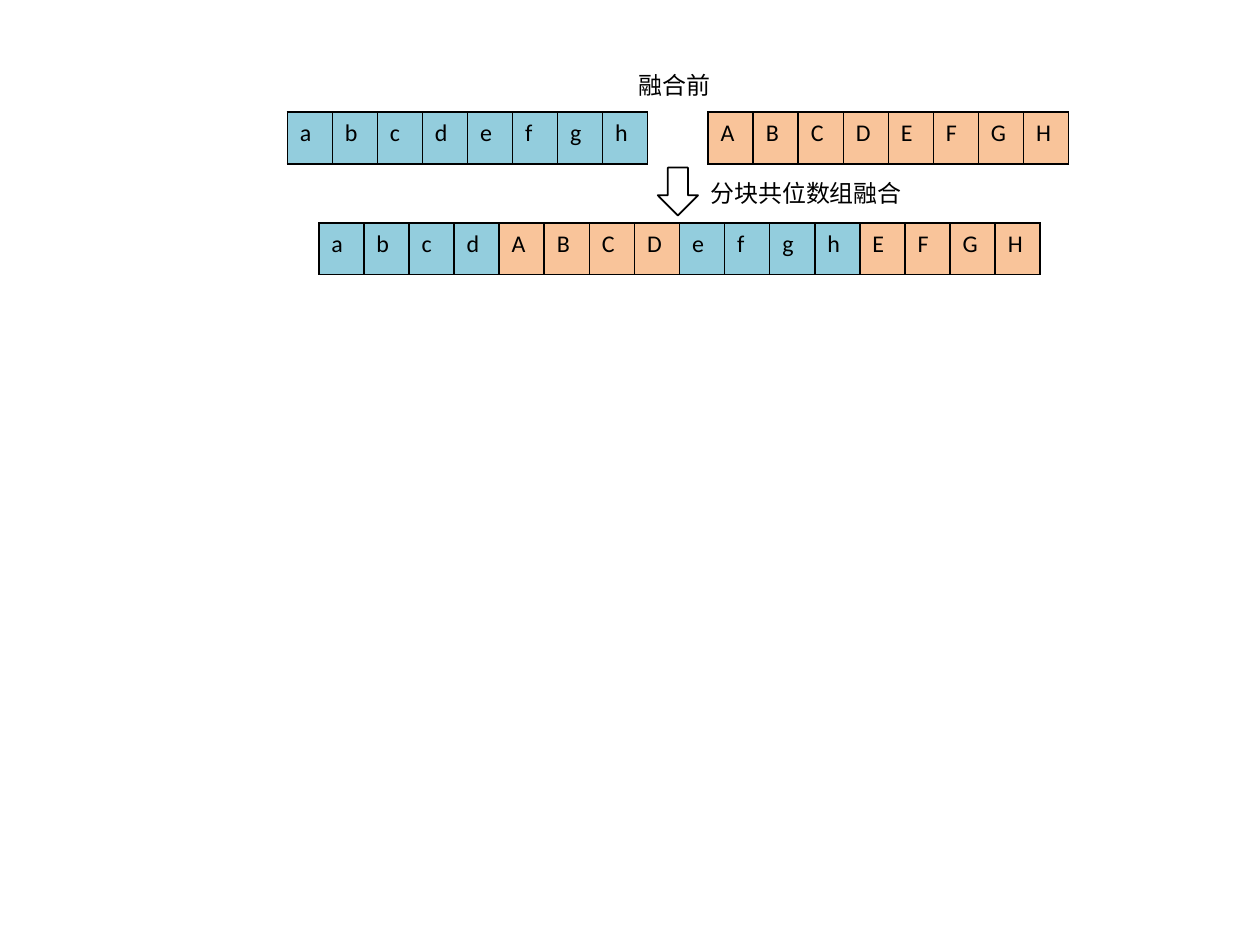
from dataclasses import dataclass
from itertools import chain

from lxml.etree import SubElement
from pptx import Presentation
from pptx.dml.color import RGBColor as Rgb
from pptx.enum.shapes import MSO_SHAPE as Shape
from pptx.enum.text import MSO_AUTO_SIZE as AutoSize
from pptx.oxml.ns import qn
from pptx.util import Inches, Pt


@dataclass(frozen=True)
class Theme:
    ink: str = "000000"
    paper: str = "FFFFFF"
    lower: str = "93CDDD"
    upper: str = "F9C49A"
    font: str = "Calibri"
    size: float = 13.7
    line: float = 1
    row_height: float = 0.41


THEME = Theme()
BLOCK = 4


def add_span(para, text):
    span = para.add_run()
    span.text = text
    span.font.name = THEME.font
    span.font.size = Pt(THEME.size)
    span.font.bold = False
    span.font.color.rgb = Rgb.from_string(THEME.ink)


def add_borders(cell):
    props = cell._tc.get_or_add_tcPr()
    for index, side in enumerate(("a:lnL", "a:lnR", "a:lnT", "a:lnB")):
        border = SubElement(props, qn(side), w=str(Pt(THEME.line)))
        fill = SubElement(border, qn("a:solidFill"))
        SubElement(fill, qn("a:srgbClr"), val=THEME.ink)
        props.remove(border)
        props.insert(index, border)


def add_array(page, left, top, width, letters):
    """One row of equal cells, coloured by the array each letter is from."""
    frame = page.shapes.add_table(1, len(letters), Inches(left), Inches(top),
                                  Inches(width), Inches(THEME.row_height))
    table = frame.table
    table.first_row = table.horz_banding = False
    for column, letter in enumerate(letters):
        table.columns[column].width = Inches(width / len(letters))
        cell = table.cell(0, column)
        cell.fill.solid()
        color = THEME.lower if letter.islower() else THEME.upper
        cell.fill.fore_color.rgb = Rgb.from_string(color)
        add_borders(cell)
        add_span(cell.text_frame.paragraphs[0], letter)


def add_label(page, left, top, width, height, text):
    box = page.shapes.add_textbox(*map(Inches, (left, top, width, height)))
    box.text_frame.word_wrap = False
    box.text_frame.auto_size = AutoSize.SHAPE_TO_FIT_TEXT
    add_span(box.text_frame.paragraphs[0], text)


def add_down_arrow(page, left, top, width, height):
    arrow = page.shapes.add_shape(
        Shape.DOWN_ARROW, *map(Inches, (left, top, width, height)))
    arrow.shadow.inherit = False
    arrow.fill.solid()
    arrow.fill.fore_color.rgb = Rgb.from_string(THEME.paper)
    arrow.line.color.rgb = Rgb.from_string(THEME.ink)
    arrow.line.width = Pt(THEME.line)


def interleave(first, second):
    """Alternate blocks of the two arrays."""
    starts = range(0, len(first), BLOCK)
    return "".join(chain.from_iterable(
        (first[i:i + BLOCK], second[i:i + BLOCK]) for i in starts))


def add_fusion(page, left, top):
    """The whole diagram, placed from its top left corner."""
    first, second = "abcdefgh", "ABCDEFGH"
    # Arrays before and after fusion
    add_array(page, left, top + 0.38, 2.86, first)
    add_array(page, left + 3.34, top + 0.38, 2.86, second)
    add_array(page, left + 0.25, top + 1.26, 5.73, interleave(first, second))
    # Captions and the step between
    add_label(page, left + 2.69, top, 0.78, 0.33, "融合前")
    add_label(page, left + 3.26, top + 0.86, 1.74, 0.33, "分块共位数组融合")
    add_down_arrow(page, left + 2.94, top + 0.82, 0.32, 0.38)


deck = Presentation()
deck.slide_width, deck.slide_height = Inches(10), Inches(7.5)
page = deck.slides.add_slide(deck.slide_layouts[6])
add_fusion(page, 2.28, 0.51)
deck.save("out.pptx")
